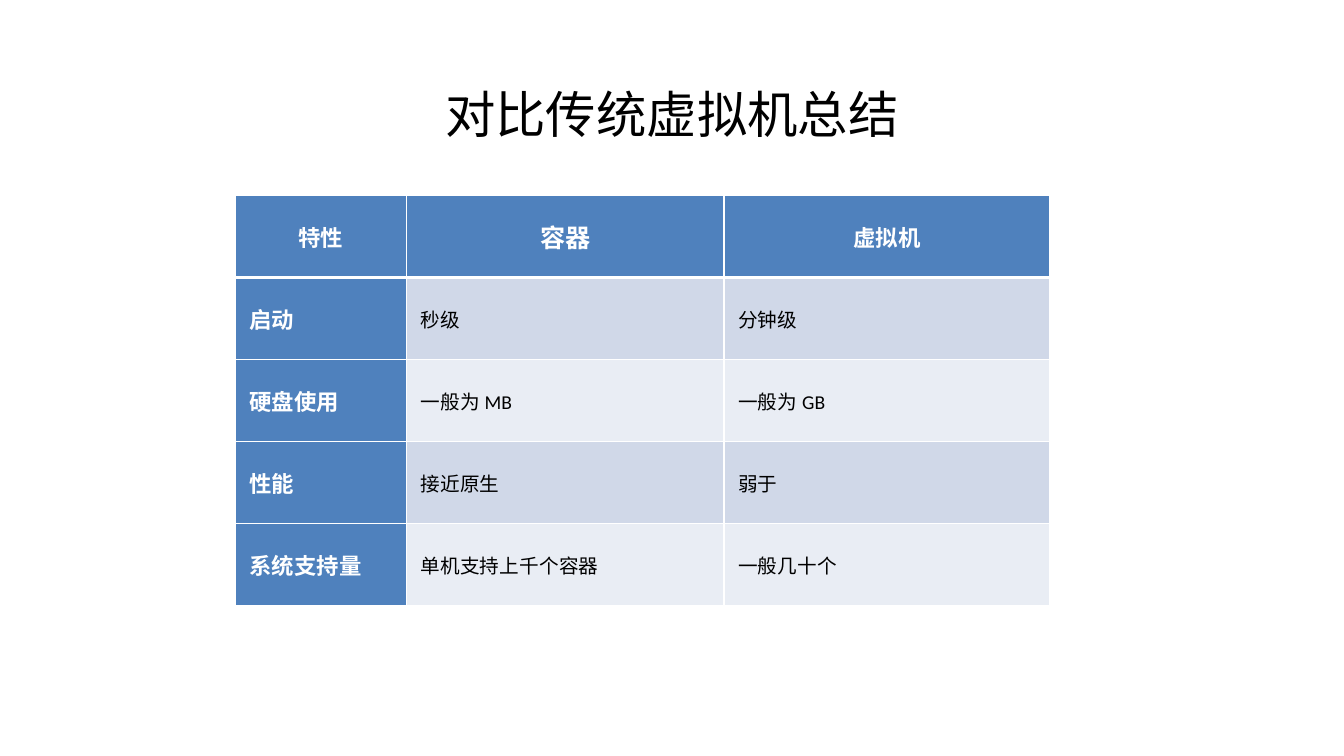
from dataclasses import dataclass

from lxml import etree
from pptx import Presentation
from pptx import util as u
from pptx.dml import color
from pptx.enum import text
from pptx.oxml import ns


@dataclass(frozen=True)
class Theme:
    """Colours, font and type sizes of the slide."""
    font: str = "Calibri"
    ink: str = "000000"
    paper: str = "FFFFFF"
    accent: str = "4F81BD"
    bands: tuple = ("D0D8E8", "E9EDF4")
    title: int = 36
    lead: int = 18
    label: int = 16
    body: int = 14


THEME = Theme()
COMPARISON = [
    ["特性", "容器", "虚拟机"],
    ["启动", "秒级", "分钟级"],
    ["硬盘使用", "一般为 MB", "一般为 GB"],
    ["性能", "接近原生", "弱于"],
    ["系统支持量", "单机支持上千个容器", "一般几十个"],
]
COLUMN_WIDTHS = [122.4, 226.8, 232.8]
CELL_FORMAT = {
    "margin_left": u.Pt(10), "margin_right": u.Pt(10),
    "margin_top": u.Pt(4.5), "margin_bottom": u.Pt(4.5),
    "vertical_anchor": text.MSO_ANCHOR.MIDDLE,
}


def apply(target, values):
    """Set every attribute named in values on target."""
    for name, value in values.items():
        setattr(target, name, value)


def write(paragraph, wording, size, ink, bold, align, spacing=0):
    """Fill a paragraph with one formatted run."""
    paragraph.alignment = align
    run = paragraph.add_run()
    run.text = wording
    apply(run.font, {"name": THEME.font, "size": u.Pt(size), "bold": bold})
    run.font.color.rgb = color.RGBColor.from_string(ink)
    if spacing:
        run._r.get_or_add_rPr().set("spc", str(round(spacing * 100)))


def rule_cell(cell, widths):
    """Draw the white rules of a cell, given a width in points per side."""
    properties = cell._tc.get_or_add_tcPr()
    for side, width in widths.items():
        rule = etree.SubElement(properties, ns.qn(f"a:ln{side}"), w=str(u.Pt(width)))
        paint = etree.SubElement(rule, ns.qn("a:solidFill"))
        etree.SubElement(paint, ns.qn("a:srgbClr"), val=THEME.paper)


def place_title(slide, wording, left, top, width, height):
    """Place the slide title in the given box."""
    heading = slide.shapes.title
    apply(heading, {"left": u.Pt(left), "top": u.Pt(top),
                    "width": u.Pt(width), "height": u.Pt(height)})
    heading.text_frame.vertical_anchor = text.MSO_ANCHOR.MIDDLE
    write(heading.text_frame.paragraphs[0], wording, THEME.title, THEME.ink,
          False, text.PP_ALIGN.CENTER)


def place_comparison(slide, left, top, width, height):
    """Place the comparison table in the given box."""
    table = slide.shapes.add_table(
        len(COMPARISON), len(COLUMN_WIDTHS),
        u.Pt(left), u.Pt(top), u.Pt(width), u.Pt(height)).table
    apply(table, {"first_row": True, "first_col": True, "horz_banding": True})
    for column, share in zip(table.columns, COLUMN_WIDTHS):
        column.width = u.Pt(width * share / sum(COLUMN_WIDTHS))
    for r, features in enumerate(COMPARISON):
        for c, wording in enumerate(features):
            cell = table.cell(r, c)
            header, label = r == 0, r == 0 or c == 0
            apply(cell, CELL_FORMAT)
            rule_cell(cell, {"L": 1, "R": 1, "T": 3 if r == 1 else 1,
                             "B": 3 if header else 1})
            cell.fill.solid()
            cell.fill.fore_color.rgb = color.RGBColor.from_string(
                THEME.accent if label else THEME.bands[(r - 1) % 2])
            size = THEME.label if label else THEME.body
            write(cell.text_frame.paragraphs[0], wording,
                  THEME.lead if header and c == 1 else size,
                  THEME.paper if label else THEME.ink, label,
                  text.PP_ALIGN.CENTER if header else text.PP_ALIGN.LEFT, 0.1)


def main():
    """Build the slide and save it."""
    deck = Presentation()
    apply(deck, {"slide_width": u.Pt(960), "slide_height": u.Pt(540)})
    slide = deck.slides.add_slide(deck.slide_layouts[5])
    place_title(slide, "对比传统虚拟机总结", 48, 36, 864, 90)
    place_comparison(slide, 168, 139.7, 582, 293)
    deck.save("out.pptx")


if __name__ == "__main__":
    main()
